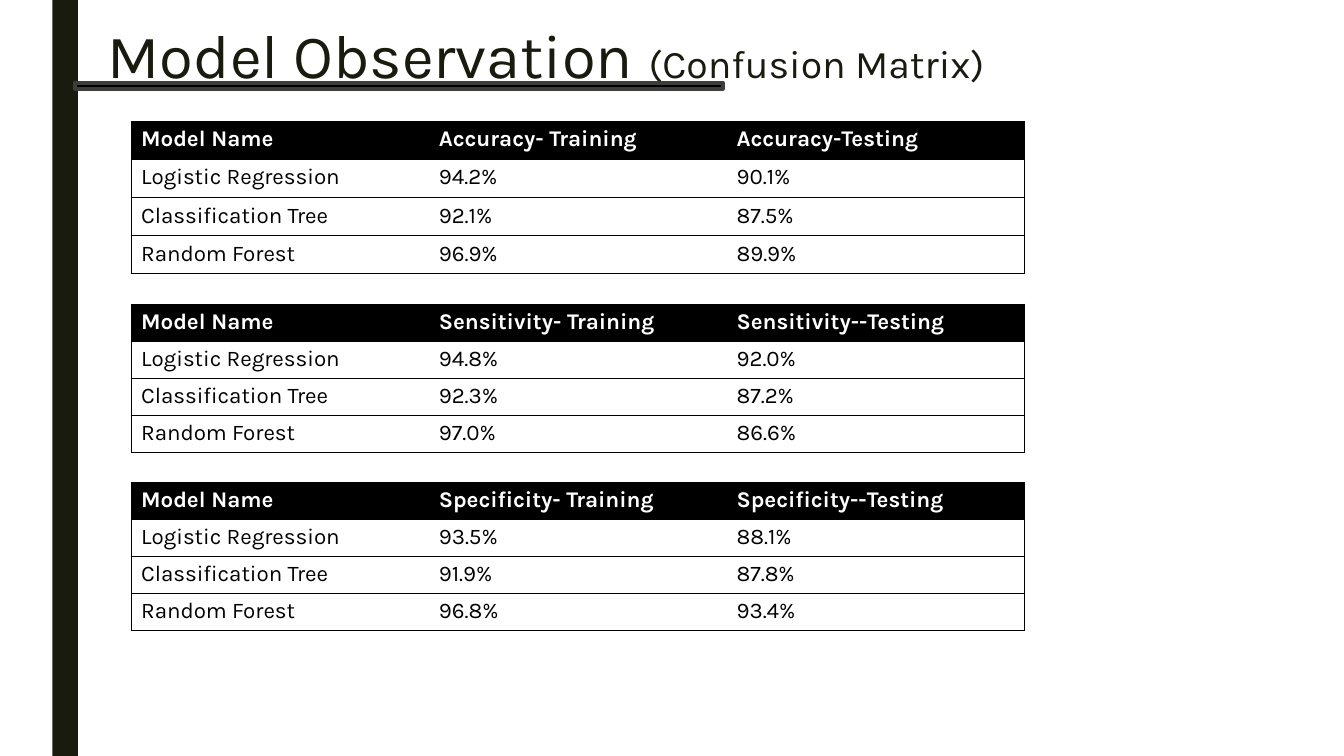
import pptx
import pptx.util
import pptx.dml.color
import pptx.enum.shapes
import pptx.enum.text
import pptx.oxml

NS = "http://schemas.openxmlformats.org/drawingml/2006/main"
NO_STYLE = "{2D5ABB26-0587-4C30-8999-92F81FD0307C}"
DARK, BLACK, WHITE, GREY = "191B0E", "000000", "FFFFFF", "3D3E3B"

MODELS = ["Logistic Regression", "Classification Tree", "Random Forest"]
METRICS = [
    (16.05, 5.04, ["Accuracy- Training", "Accuracy-Testing"],
     [("94.2%", "90.1%"), ("92.1%", "87.5%"), ("96.9%", "89.9%")]),
    (40.2, 4.8, ["Sensitivity- Training", "Sensitivity--Testing"],
     [("94.8%", "92.0%"), ("92.3%", "87.2%"), ("97.0%", "86.6%")]),
    (63.8, 4.8, ["Specificity- Training", "Specificity--Testing"],
     [("93.5%", "88.1%"), ("91.9%", "87.8%"), ("96.8%", "93.4%")]),
]


def rgb(value):
    return pptx.dml.color.RGBColor.from_string(value)


def add_text(p, text, size=16, color=BLACK, bold=False, font="Karla"):
    r = p.add_run()
    r.text = text
    r.font.size = pptx.util.Pt(size)
    r.font.name = font
    r.font.bold = bold
    r.font.color.rgb = rgb(color)


def add_border(cell, side, color=BLACK, width=0.5):
    cell._tc.get_or_add_tcPr().append(pptx.oxml.parse_xml(
        f'<a:ln{side} xmlns:a="{NS}" w="{pptx.util.Pt(width)}"><a:solidFill>'
        f'<a:srgbClr val="{color}"/></a:solidFill></a:ln{side}>'))


class Deck:
    columns = rows = 100

    def __init__(self, width, height):
        self.prs = pptx.Presentation()
        self.prs.slide_width = pptx.util.Inches(width)
        self.prs.slide_height = pptx.util.Inches(height)
        self.slide = self.prs.slides.add_slide(self.prs.slide_layouts[6])

    def box(self, col, row, cols, rows):
        x = self.prs.slide_width / self.columns
        y = self.prs.slide_height / self.rows
        return [round(v) for v in (col * x, row * y, cols * x, rows * y)]

    def rect(self, *grid, fill, line=None, line_width=0):
        sp = self.slide.shapes.add_shape(
            pptx.enum.shapes.MSO_SHAPE.RECTANGLE, *self.box(*grid))
        sp.shadow.inherit = False
        sp.fill.solid()
        sp.fill.fore_color.rgb = rgb(fill)
        if line:
            sp.line.color.rgb = rgb(line)
            sp.line.width = pptx.util.Pt(line_width)
        else:
            sp.line.fill.background()

    def title(self, *grid, runs):
        tf = self.slide.shapes.add_textbox(*self.box(*grid)).text_frame
        tf.word_wrap = True
        tf.vertical_anchor = pptx.enum.text.MSO_ANCHOR.MIDDLE
        p = tf.paragraphs[0]
        p.line_spacing = 0.89
        for text, size in runs:
            add_text(p, text, size=size, color=DARK)

    def table(self, col, row, cols, row_height, data):
        shape = self.slide.shapes.add_table(
            len(data), len(data[0]),
            *self.box(col, row, cols, row_height * len(data)))
        table = shape.table
        table._tbl.tblPr.find(f"{{{NS}}}tableStyleId").text = NO_STYLE
        last = len(data[0]) - 1
        for i, values in enumerate(data):
            for j, value in enumerate(values):
                self.cell(table.cell(i, j), value, i == 0, j == 0, j == last)

    def cell(self, cell, text, header, first, last):
        sides = ["L"] * first + ["R"] * last + ["T", "B"]
        for side in sides:
            add_border(cell, side)
        if header:
            cell.fill.solid()
            cell.fill.fore_color.rgb = rgb(BLACK)
        else:
            cell.fill.background()
        add_text(cell.text_frame.paragraphs[0], text,
                 color=WHITE if header else BLACK, bold=header)


def main():
    deck = Deck(13.33, 7.5)
    deck.rect(3.9, 0, 1.9, 100, fill=DARK)
    deck.title(7.28, 1.6, 78.77, 12.27,
               runs=[("Model Observation ", 44), ("(Confusion Matrix)", 28)])
    deck.rect(5.55, 10.95, 48.24, 0.8, fill=BLACK, line=GREY, line_width=2.75)
    for top, row_height, headings, scores in METRICS:
        data = [["Model Name", *headings]]
        data += [[model, *pair] for model, pair in zip(MODELS, scores)]
        deck.table(9.75, top, 66.47, row_height, data)
    deck.prs.save("out.pptx")


if __name__ == "__main__":
    main()
